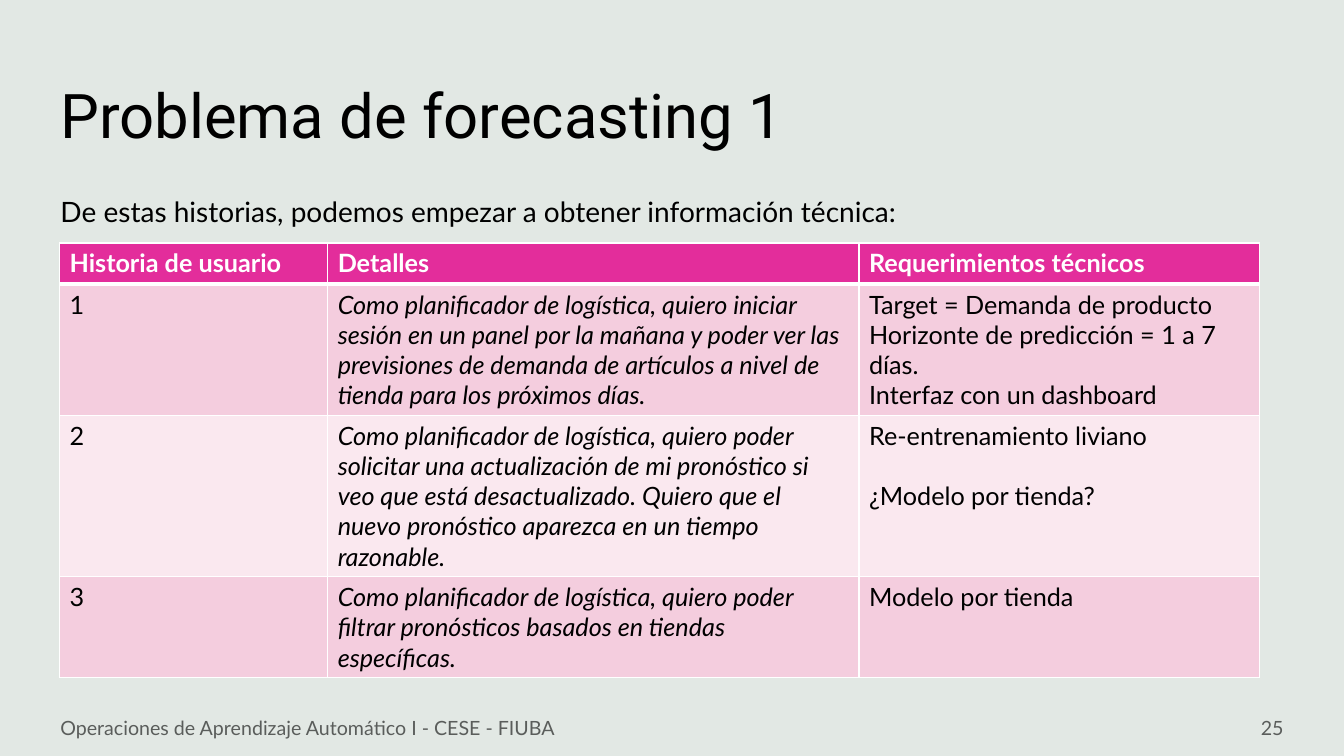
from dataclasses import dataclass
from lxml.etree import SubElement
from pptx import Presentation
from pptx.dml.color import RGBColor
from pptx.enum.text import MSO_ANCHOR, MSO_AUTO_SIZE, PP_ALIGN
from pptx.oxml.ns import qn
from pptx.util import Inches, Pt


@dataclass(frozen=True)
class Theme:
    back: str = "E2E8E4"
    ink: str = "000000"
    white: str = "FFFFFF"
    soft: str = "5A5D5B"
    head: str = "E32D9B"
    bands: tuple = ("F4CDDE", "FAE8EF")
    sans: str = "Lato"
    title: str = "Roboto"
    big: int = 44
    lead: int = 20
    cell: int = 18
    small: int = 14


THEME = Theme()

HEADS = ["Historia de usuario", "Detalles", "Requerimientos técnicos"]
STORIES = [
    ("Como planificador de logística, quiero iniciar sesión en un panel por la mañana "
     "y poder ver las previsiones de demanda de artículos a nivel de tienda para los "
     "próximos días.",
     ["Target = Demanda de producto", "Horizonte de predicción = 1 a 7 días.",
      "Interfaz con un dashboard"], 0),
    ("Como planificador de logística, quiero poder solicitar una actualización de mi "
     "pronóstico si veo que está desactualizado. Quiero que el nuevo pronóstico "
     "aparezca en un tiempo razonable.",
     ["Re-entrenamiento liviano", "¿Modelo por tienda?"], 21.6),
    ("Como planificador de logística, quiero poder filtrar pronósticos basados en "
     "tiendas específicas.",
     ["Modelo por tienda"], 0),
]
COLS = [2.66, 5.27, 3.97]
ROWS = [0.41, 1.3, 1.6, 1.0]


def style(para, color, **form):
    """Apply a dict of font values to a paragraph."""
    font = para.font
    for key, value in form.items():
        setattr(font, key, value)
    font.color.rgb = RGBColor.from_string(color)


def place(shape, box):
    for key, value in zip(("left", "top", "width", "height"), box):
        setattr(shape, key, Inches(value))


def setup(frame, anchor):
    form = {"word_wrap": True, "auto_size": MSO_AUTO_SIZE.NONE,
            "vertical_anchor": anchor}
    for key, value in form.items():
        setattr(frame, key, value)


def add_title(slide, box, text):
    shape = slide.shapes.title
    place(shape, box)
    setup(shape.text_frame, MSO_ANCHOR.MIDDLE)
    shape.text_frame.text = text
    para = shape.text_frame.paragraphs[0]
    para.alignment = PP_ALIGN.LEFT
    style(para, THEME.ink, name=THEME.title, size=Pt(THEME.big))


def add_lead(slide, box, text):
    shape = slide.placeholders[1]
    place(shape, box)
    setup(shape.text_frame, MSO_ANCHOR.TOP)
    shape.text_frame.text = text
    para = shape.text_frame.paragraphs[0]
    para.line_spacing, para.space_before = 1.1, Pt(0)
    # Plain paragraph without bullet or indent
    props = para._p.get_or_add_pPr()
    props.set("marL", "0")
    props.set("indent", "0")
    SubElement(props, qn("a:buNone"))
    style(para, THEME.ink, name=THEME.sans, size=Pt(THEME.lead))


def add_note(slide, box, text, align):
    frame = slide.shapes.add_textbox(*map(Inches, box)).text_frame
    setup(frame, MSO_ANCHOR.MIDDLE)
    frame.text = text
    para = frame.paragraphs[0]
    para.alignment = align
    style(para, THEME.soft, name=THEME.sans, size=Pt(THEME.small))


def edge(cell, base):
    """Draw white cell borders; base is the width of the bottom one."""
    props = cell._tc.get_or_add_tcPr()
    sides = {"lnL": 1, "lnR": 1, "lnT": 1, "lnB": base}
    for spot, (tag, width) in enumerate(sides.items()):
        line = SubElement(props, qn(f"a:{tag}"), w=str(Pt(width)))
        fill = SubElement(line, qn("a:solidFill"))
        SubElement(fill, qn("a:srgbClr"), val=THEME.white)
        props.insert(spot, line)


def fill_cell(cell, lines, fill, color, gap=0, base=1, **form):
    cell.fill.solid()
    cell.fill.fore_color.rgb = RGBColor.from_string(fill)
    edge(cell, base)
    cell.text_frame.text = "\n".join(lines)
    for spot, para in enumerate(cell.text_frame.paragraphs):
        if spot and gap:
            para.space_before = Pt(gap)
        style(para, color, name=THEME.sans, size=Pt(THEME.cell), **form)


def add_grid(slide, box):
    grid = slide.shapes.add_table(len(ROWS), len(COLS), *map(Inches, box)).table
    for col, width in zip(grid.columns, COLS):
        col.width = Inches(width)
    for row, height in zip(grid.rows, ROWS):
        row.height = Inches(height)
    # Header row
    for col, text in enumerate(HEADS):
        fill_cell(grid.cell(0, col), [text], THEME.head, THEME.white,
                  base=3, bold=True)
    # One banded row per story
    for row, (story, needs, gap) in enumerate(STORIES, 1):
        fill = THEME.bands[(row - 1) % 2]
        for col, lines in enumerate(([str(row)], [story], needs)):
            fill_cell(grid.cell(row, col), lines, fill, THEME.ink,
                      gap=gap, bold=False, italic=col == 1)


def add_page(deck):
    slide = deck.slides.add_slide(deck.slide_layouts[1])
    back = slide.background.fill
    back.solid()
    back.fore_color.rgb = RGBColor.from_string(THEME.back)
    add_title(slide, (0.5, 0.4, 11.92, 1.45), "Problema de forecasting 1")
    add_lead(slide, (0.5, 1.85, 12.33, 4.87),
             "De estas historias, podemos empezar a obtener información técnica:")
    add_grid(slide, (0.59, 2.41, sum(COLS), sum(ROWS)))
    # Footer
    add_note(slide, (0.5, 7.02, 7.4, 0.4),
             "Operaciones de Aprendizaje Automático I - CESE - FIUBA", PP_ALIGN.LEFT)
    add_note(slide, (9.83, 7.02, 3, 0.4), "25", PP_ALIGN.RIGHT)


def main():
    deck = Presentation()
    deck.slide_width, deck.slide_height = Inches(13.33), Inches(7.5)
    add_page(deck)
    deck.save("out.pptx")


if __name__ == "__main__":
    main()
